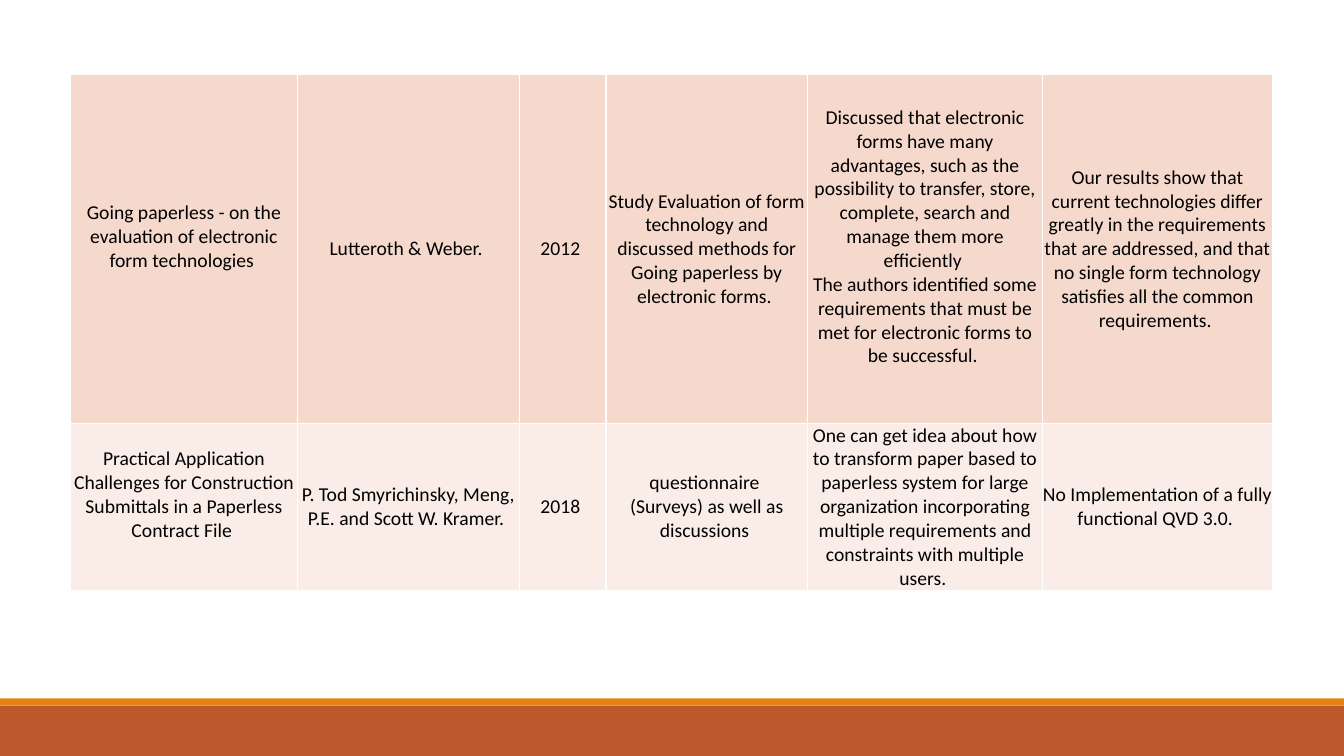
"""Build the literature review table slide."""
from dataclasses import dataclass

from lxml.etree import SubElement
from pptx import Presentation
from pptx.dml.color import RGBColor
from pptx.enum.shapes import MSO_SHAPE
from pptx.enum.text import MSO_ANCHOR, PP_ALIGN
from pptx.oxml.ns import qn
from pptx.util import Inches, Pt

COLORS = {
    "footer": "BD582C",
    "accent": "E48312",
    "dark_row": "F5D9CC",
    "light_row": "FAEDE7",
    "border": "FFFFFF",
    "text": "000000",
}
COLUMN_WIDTHS = (2.25, 2.2, 0.86, 2, 2.33, 2.28)
LINE_HEIGHT = 0.24


@dataclass(frozen=True)
class Band:
    """A full-width strip at the foot of the slide."""
    top: float
    height: float
    color: str


@dataclass(frozen=True)
class Entry:
    """The paragraphs of one cell and the space kept below them."""
    paragraphs: tuple[str, ...]
    bottom: float = 0


@dataclass(frozen=True)
class Study:
    """One table row."""
    height: float
    color: str
    entries: tuple[Entry, ...]


BANDS = (Band(7, 0.5, "footer"), Band(6.93, 0.07, "accent"))
STUDIES = (
    Study(3.46, "dark_row", (
        Entry(("Going paperless - on the evaluation of electronic form technologies ",), LINE_HEIGHT),
        Entry(("Lutteroth & Weber. ",)),
        Entry(("2012 ",)),
        Entry(("Study Evaluation of form technology and discussed methods for Going "
               "paperless by electronic forms. ",)),
        Entry(("Discussed that electronic forms have many advantages, such as the possibility "
               "to transfer, store, complete, search and manage them more efficiently ",
               "The authors identified some requirements that must be met for electronic "
               "forms to be successful. "), LINE_HEIGHT),
        Entry(("Our results show that current technologies differ greatly in the requirements "
               "that are addressed, and that no single form technology satisfies all the "
               "common requirements. ",)),
    )),
    Study(1.65, "light_row", (
        Entry(("Practical Application Challenges for Construction Submittals in a Paperless "
               "Contract File ",), LINE_HEIGHT),
        Entry(("P. Tod Smyrichinsky, Meng, P.E. and Scott W. Kramer. ",)),
        Entry(("2018 ",)),
        Entry(("questionnaire ", "(Surveys) as well as discussions ")),
        Entry(("One can get idea about how to transform paper based to paperless system for "
               "large organization incorporating multiple requirements and constraints with "
               "multiple users. ",)),
        Entry(("No Implementation of a fully functional QVD 3.0. ",)),
    )),
)


def color(name: str) -> RGBColor:
    """Return a palette color."""
    return RGBColor.from_string(COLORS[name])


def add_band(slide, band: Band, width: int) -> None:
    """Draw a strip across the slide."""
    shape = slide.shapes.add_shape(
        MSO_SHAPE.RECTANGLE, 0, Inches(band.top), width, Inches(band.height))
    shape.shadow.inherit = False
    shape.fill.solid()
    shape.fill.fore_color.rgb = color(band.color)
    shape.line.fill.background()


def add_borders(cell) -> None:
    """Give a cell thin lines on all four sides."""
    properties = cell._tc.get_or_add_tcPr()
    for side in ("lnL", "lnR", "lnT", "lnB"):
        line = SubElement(properties, qn(f"a:{side}"), w=str(Pt(1)))
        fill = SubElement(line, qn("a:solidFill"))
        SubElement(fill, qn("a:srgbClr"), val=COLORS["border"])


def fill_cell(cell, entry: Entry, fill_name: str) -> None:
    """Format a cell and write its text."""
    add_borders(cell)
    cell.fill.solid()
    cell.fill.fore_color.rgb = color(fill_name)
    cell.vertical_anchor = MSO_ANCHOR.MIDDLE
    cell.margin_left = cell.margin_right = cell.margin_top = 0
    cell.margin_bottom = Inches(entry.bottom)
    frame = cell.text_frame
    for index, text in enumerate(entry.paragraphs):
        paragraph = frame.add_paragraph() if index else frame.paragraphs[0]
        paragraph.alignment = PP_ALIGN.CENTER
        run = paragraph.add_run()
        run.text = text
        run.font.name = "Calibri"
        run.font.size = Pt(14)
        run.font.color.rgb = color("text")


def add_study_table(slide) -> None:
    """Draw the table of studies."""
    height = sum(study.height for study in STUDIES)
    table = slide.shapes.add_table(
        len(STUDIES), len(COLUMN_WIDTHS), Inches(0.7), Inches(0.74),
        Inches(sum(COLUMN_WIDTHS)), Inches(height)).table
    table.first_row = table.horz_banding = False
    for column, width in zip(table.columns, COLUMN_WIDTHS):
        column.width = Inches(width)
    for row, study in zip(table.rows, STUDIES):
        row.height = Inches(study.height)
        for cell, entry in zip(row.cells, study.entries):
            fill_cell(cell, entry, study.color)


def main() -> None:
    """Create and save the presentation."""
    presentation = Presentation()
    presentation.slide_width = Inches(13.33)
    presentation.slide_height = Inches(7.5)
    slide = presentation.slides.add_slide(presentation.slide_layouts[6])
    for band in BANDS:
        add_band(slide, band, presentation.slide_width)
    add_study_table(slide)
    presentation.save("out.pptx")


if __name__ == "__main__":
    main()
